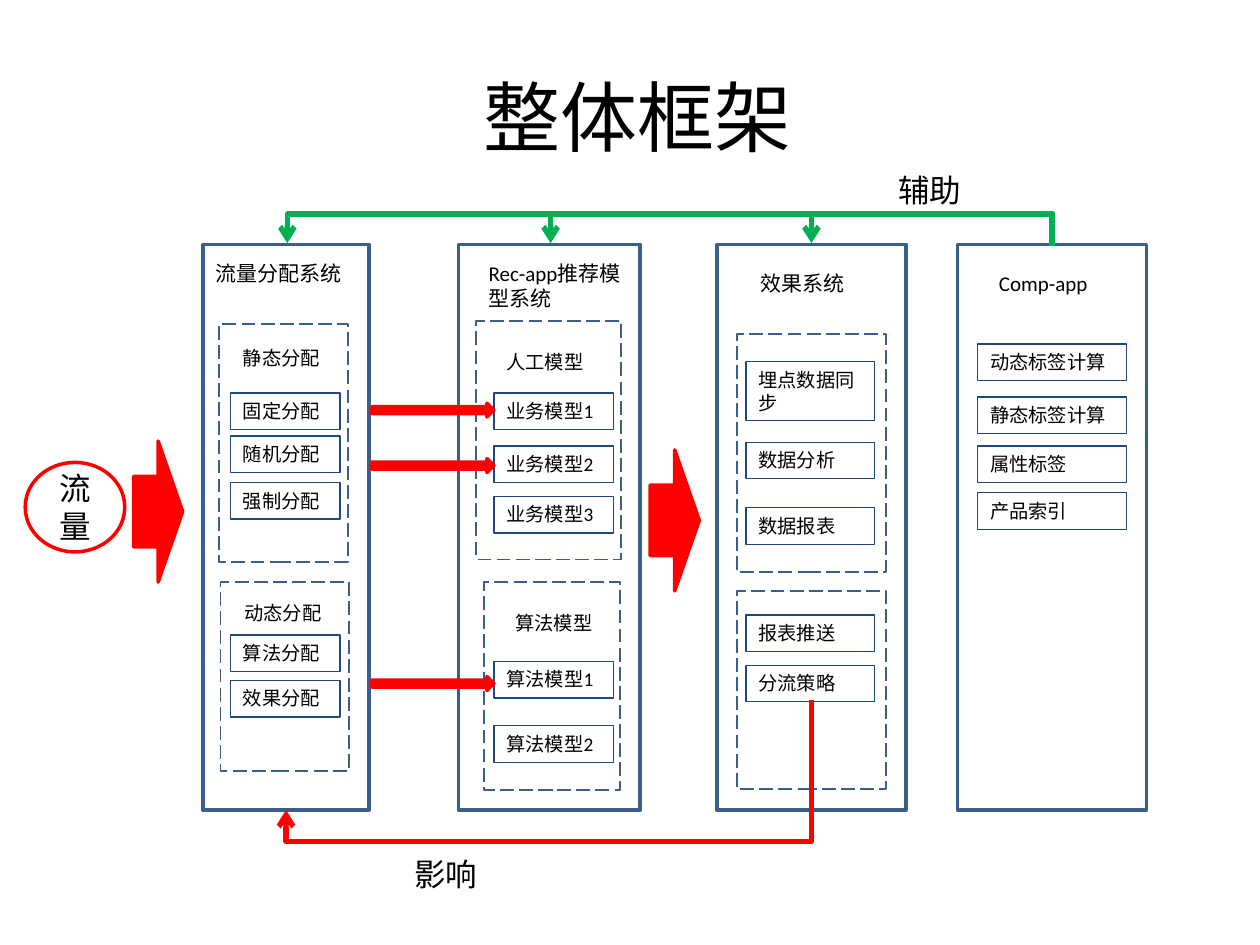
from lxml import etree
from pptx import Presentation
from pptx.dml.color import RGBColor
from pptx.enum.dml import MSO_LINE
from pptx.enum.shapes import MSO_CONNECTOR, MSO_SHAPE
from pptx.enum.text import MSO_ANCHOR, PP_ALIGN
from pptx.oxml.ns import qn
from pptx.util import Inches, Pt

RECT, OVAL, ARROW = MSO_SHAPE.RECTANGLE, MSO_SHAPE.OVAL, MSO_SHAPE.RIGHT_ARROW
ELBOW = MSO_CONNECTOR.ELBOW
DASH = MSO_LINE.LONG_DASH
LEFT, CENTER = PP_ALIGN.LEFT, PP_ALIGN.CENTER
TOP, MIDDLE = MSO_ANCHOR.TOP, MSO_ANCHOR.MIDDLE
BLACK = RGBColor(0x00, 0x00, 0x00)
RED = RGBColor(0xFF, 0x00, 0x00)
GREEN = RGBColor(0x00, 0xB0, 0x50)
BLUE = RGBColor(0x3A, 0x5F, 0x8C)
NAVY = RGBColor(0x1F, 0x49, 0x7D)

prs = Presentation()
prs.slide_width, prs.slide_height = Inches(10), Inches(7.5)
s = prs.slides.add_slide(prs.slide_layouts[6])


def add_box(shapes, at, text="", shape=None, size=11, line=None, width=0.75,
            dash=None, fill=None, align=LEFT, anchor=TOP):
    """Add a preset shape, or a text box when no shape is given."""
    box = [Inches(v) for v in at]
    if shape is None:
        sp = shapes.add_textbox(*box)
    else:
        sp = shapes.add_shape(shape, *box)
        sp.shadow.inherit = False
        sp.line.color.rgb = line
        sp.line.width = Pt(width)
        if dash:
            sp.line.dash_style = dash
        if fill:
            sp.fill.solid()
            sp.fill.fore_color.rgb = fill
        else:
            sp.fill.background()
    if text:
        tf = sp.text_frame
        tf.word_wrap = True
        tf.vertical_anchor = anchor
        p = tf.paragraphs[0]
        p.alignment = align
        r = p.add_run()
        r.text = text
        r.font.size = Pt(size)
        r.font.name = "Calibri"
        r.font.color.rgb = BLACK


def add_elbow(x1, y1, x2, y2, turn_y, color):
    """Add a bent arrow that leaves and arrives vertically, crossing at turn_y."""
    w, h = abs(y2 - y1), abs(x2 - x1)
    left, top = (x1 + x2 - w) / 2, (y1 + y2 - h) / 2
    c = s.shapes.add_connector(ELBOW, Inches(left), Inches(top),
                               Inches(left + w), Inches(top + h))
    c.line.color.rgb = color
    c.line.width = Pt(3)
    spPr = c._element.spPr
    xfrm = spPr.find(qn("a:xfrm"))
    if y2 > y1:
        xfrm.set("rot", "5400000")
    else:
        xfrm.set("rot", "16200000")
        xfrm.set("flipV", "1")
    adj = round((turn_y - y1) / (y2 - y1) * 100000)
    guides = spPr.find(qn("a:prstGeom")).get_or_add_avLst()
    etree.SubElement(guides, qn("a:gd"), name="adj1", fmla=f"val {adj}")
    etree.SubElement(spPr.find(qn("a:ln")), qn("a:tailEnd"), type="arrow")
    etree.SubElement(spPr, qn("a:effectLst"))


add_box(s.shapes, (0.56, 0.29, 9, 1.25), "整体框架", size=44, align=CENTER, anchor=MIDDLE)
add_box(s.shapes, (0.2, 3.67, 0.79, 0.71), "流量", OVAL, size=18, line=RED, width=2,
        align=CENTER, anchor=MIDDLE)

# Each system: frame x and width, heading, dashed panels, panel labels,
# then x and width of the items and their tops
COLUMN_TOP, COLUMN_H, ITEM_H = 1.94, 4.49, 0.29
systems = [
    (1.61, 1.32, ("流量分配系统", 1.61, 2.02, 1.32, 0.3),
     [(1.74, 2.57, 1.02, 1.89), (1.75, 4.62, 1.02, 1.5)],
     [("静态分配", 1.83, 2.7, 0.94), ("动态分配", 1.84, 4.72, 0.94)],
     1.83, 0.87,
     [("固定分配", 3.12), ("随机分配", 3.46), ("强制分配", 3.83),
      ("算法分配", 5.04), ("效果分配", 5.4)]),
    (5.69, 1.5, ("效果系统", 5.94, 2.1, 0.94, 0.3),
     [(5.85, 2.65, 1.18, 1.89), (5.85, 4.69, 1.18, 1.57)],
     [],
     5.92, 1.02,
     [("埋点数据同步", 2.87), ("数据分析", 3.51), ("数据报表", 4.03),
      ("报表推送", 4.88), ("分流策略", 5.28)]),
    (3.64, 1.44, ("Rec-app推荐模型系统", 3.78, 2.02, 1.3, 0.5),
     [(3.78, 2.55, 1.15, 1.89), (3.84, 4.62, 1.08, 1.65)],
     [("人工模型", 3.92, 2.73, 0.81), ("算法模型", 3.99, 4.8, 0.81)],
     3.92, 0.95,
     [("业务模型1", 3.12), ("业务模型2", 3.54), ("业务模型3", 3.94),
      ("算法模型1", 5.25), ("算法模型2", 5.76)]),
    (7.6, 1.5, ("Comp-app", 7.83, 2.1, 1.1, 0.3),
     [], [],
     7.76, 1.18,
     [("动态标签计算", 2.73), ("静态标签计算", 3.15), ("属性标签", 3.54), ("产品索引", 3.91)]),
]
for x, w, (heading, *heading_at), panels, labels, item_x, item_w, items in systems:
    column = s.shapes.add_group_shape().shapes
    add_box(column, (x, COLUMN_TOP, w, COLUMN_H), shape=RECT, line=BLUE, width=2)
    add_box(column, heading_at, heading, size=12)
    for panel in panels:
        add_box(column, panel, shape=RECT, line=BLUE, width=1, dash=DASH)
    for label, label_x, label_y, label_w in labels:
        add_box(column, (label_x, label_y, label_w, ITEM_H), label)
    for item, item_y in items:
        # The longest item of the effect system takes two lines
        item_h = 0.47 if item == "埋点数据同步" else ITEM_H
        add_box(column, (item_x, item_y, item_w, item_h), item, RECT, line=NAVY)

# Flow between the systems
block_arrows = [(1.06, 3.5, 0.39, 1.12), (5.16, 3.57, 0.39, 1.12)]
block_arrows += [(2.95, y, 0.97, 0.11) for y in (3.2, 3.64, 5.37)]
for at in block_arrows:
    add_box(s.shapes, at, shape=ARROW, line=RED, width=2, fill=RED)

# Feedback below, support above
add_elbow(6.44, 5.56, 2.27, 6.43, 6.68, RED)
for target_x in (2.28, 4.37, 6.44):
    add_elbow(8.35, 1.95, target_x, 1.93, 1.7, GREEN)

add_box(s.shapes, (7.03, 1.31, 1.12, 0.4), "辅助", size=18)
add_box(s.shapes, (3.19, 6.74, 0.75, 0.4), "影响", size=18)

prs.save("out.pptx")
